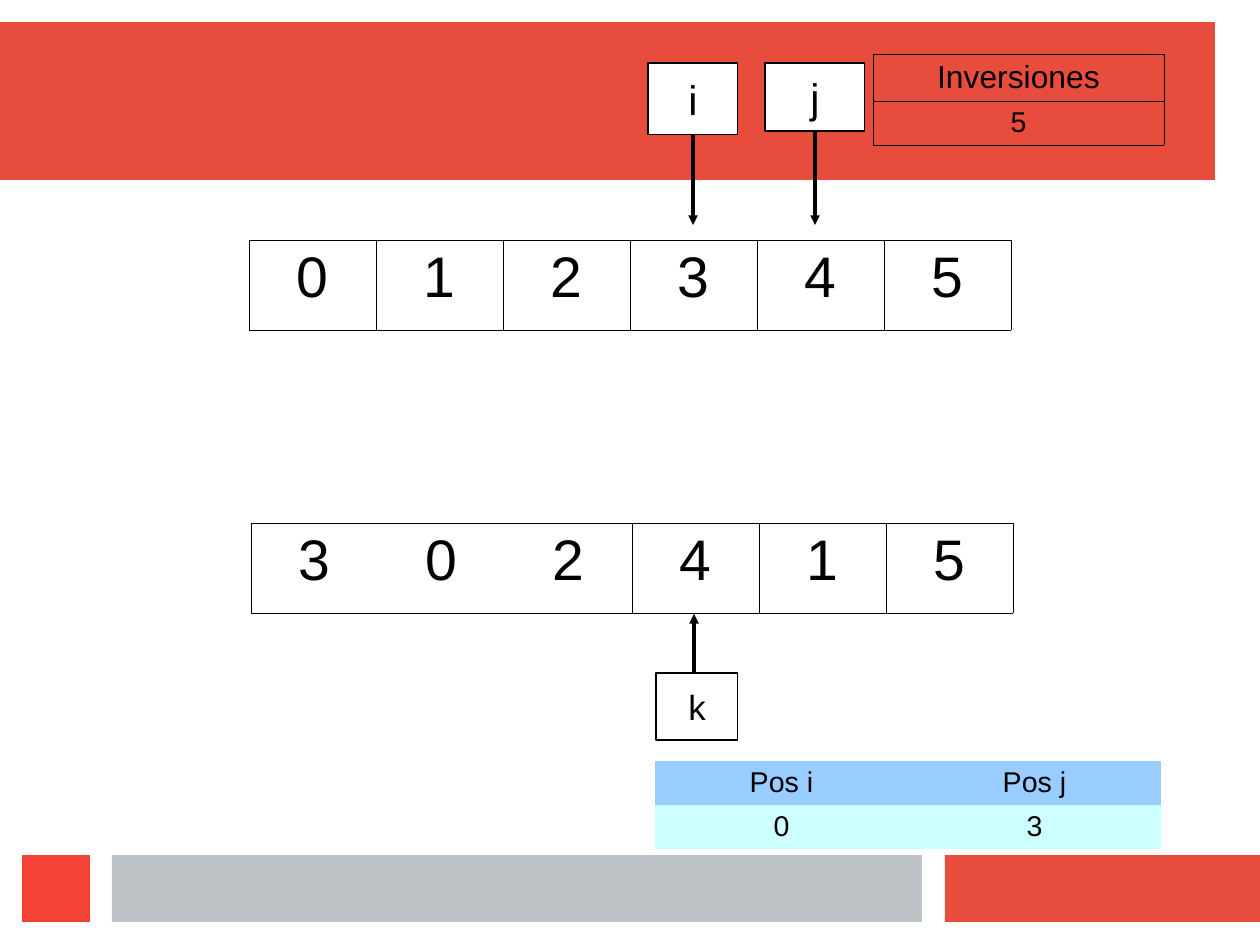
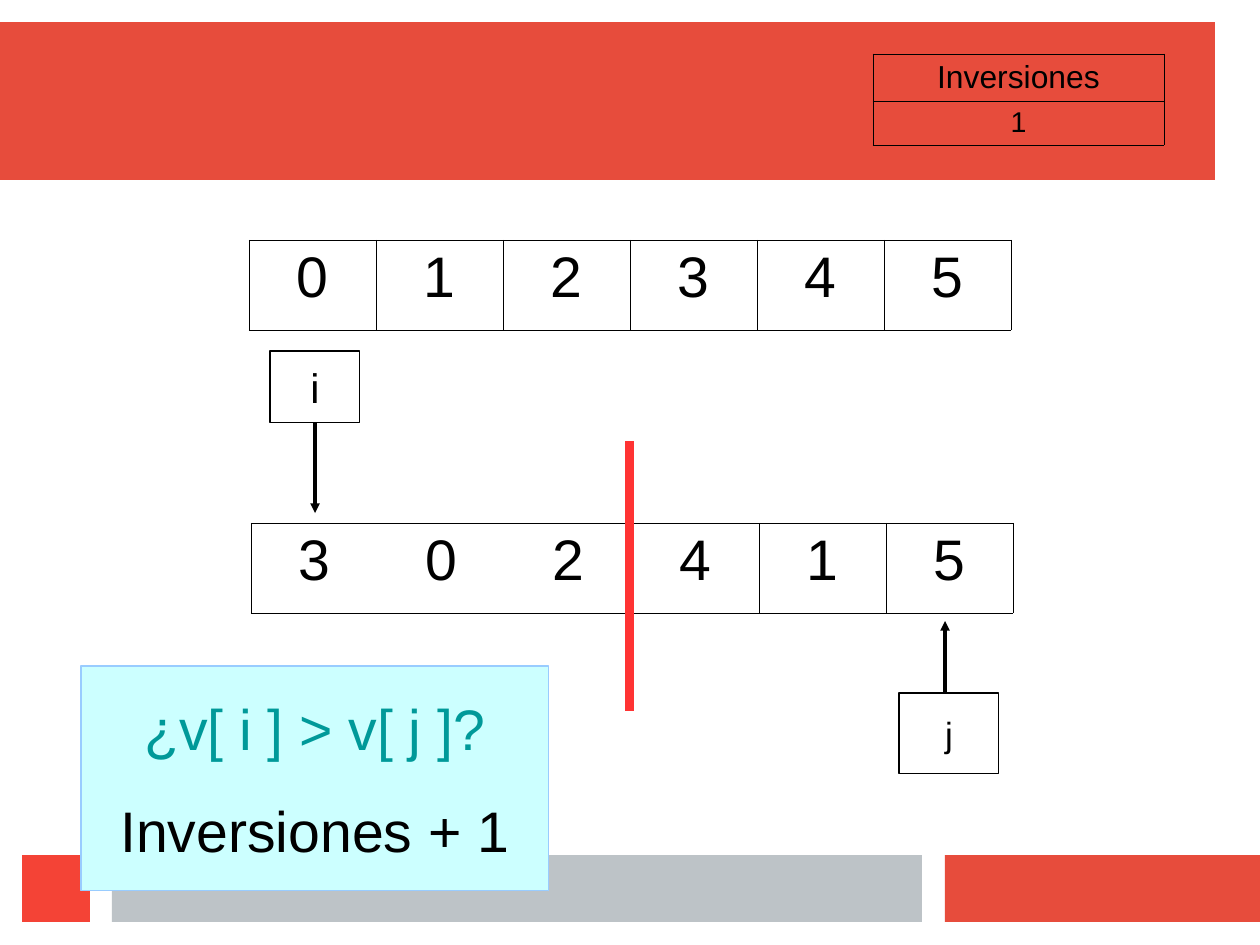
from dataclasses import dataclass

from lxml.etree import SubElement
from pptx import Presentation
from pptx.dml.color import RGBColor
from pptx.enum.shapes import MSO_CONNECTOR, MSO_SHAPE
from pptx.enum.text import MSO_ANCHOR, PP_ALIGN
from pptx.oxml import parse_xml
from pptx.oxml.ns import nsdecls, qn
from pptx.shapes.autoshape import Shape
from pptx.shapes.connector import Connector
from pptx.slide import Slide
from pptx.table import _Cell
from pptx.text.text import TextFrame
from pptx.util import Pt

# Shared look
EMU_PER_PX = 8000
SLIDE_WIDTH, SLIDE_HEIGHT = 1260, 945
FONT = "Arial"
BLACK, WHITE = "000000", "FFFFFF"
BAND_RED, SQUARE_RED, BAND_GREY = "E74C3C", "F44336", "BDC3C7"
PALE_BLUE, PALE_CYAN, TEAL, DIVIDER_RED = "99CCFF", "CCFFFF", "009999", "FF3333"
HAIRLINE, ARRAY_BORDER, COUNTER_BORDER = 0, 0.06, 0.57
BORDER_TAGS = {"left": "lnL", "right": "lnR", "top": "lnT", "bottom": "lnB"}
TOP, BOTTOM = 0, 2


@dataclass(frozen=True)
class Box:
    left: int
    top: int
    width: int
    height: int

    @property
    def middle(self) -> int:
        return self.left + self.width // 2


@dataclass(frozen=True)
class Band:
    box: Box
    color: str


@dataclass(frozen=True)
class Pointer:
    """A labelled box with an arrow from its top or bottom side."""
    label: str
    box: Box
    size: int
    arrow_x: int
    arrow_end: int


@dataclass(frozen=True)
class CellStyle:
    size: int
    fill: str = ""
    border: float = 0
    open_sides: tuple[str, ...] = ()


BANDS = (
    Band(Box(0, 22, 1215, 158), BAND_RED),
    Band(Box(945, 855, 315, 67), BAND_RED),
    Band(Box(112, 855, 810, 67), BAND_GREY),
    Band(Box(22, 855, 68, 67), SQUARE_RED),
)


def px(length: int) -> int:
    return length * EMU_PER_PX


def rgb(color: str) -> RGBColor:
    return RGBColor.from_string(color)


def add_text(frame: TextFrame, text: str, *, size: int, color: str = BLACK,
             space_before: int = 0, first: bool = True) -> None:
    paragraph = frame.paragraphs[0] if first else frame.add_paragraph()
    paragraph.alignment = PP_ALIGN.CENTER
    paragraph.space_before = Pt(space_before)
    run = paragraph.add_run()
    run.text = text
    run.font.name = FONT
    run.font.size = Pt(size)
    run.font.color.rgb = rgb(color)


def add_rectangle(slide: Slide, box: Box, fill: str, line: str = "") -> Shape:
    shape = slide.shapes.add_shape(MSO_SHAPE.RECTANGLE, px(box.left), px(box.top),
                                   px(box.width), px(box.height))
    shape.shadow.inherit = False
    shape.fill.solid()
    shape.fill.fore_color.rgb = rgb(fill)
    if line:
        shape.line.color.rgb = rgb(line)
        shape.line.width = Pt(HAIRLINE)
    else:
        shape.line.fill.background()
    shape.text_frame.word_wrap = False
    shape.text_frame.vertical_anchor = MSO_ANCHOR.MIDDLE
    return shape


def add_line(slide: Slide, start: tuple[int, int], end: tuple[int, int],
             color: str, width: float, arrow: bool = False) -> Connector:
    connector = slide.shapes.add_connector(MSO_CONNECTOR.STRAIGHT,
                                           *map(px, start), *map(px, end))
    connector.line.color.rgb = rgb(color)
    connector.line.width = Pt(width)
    if arrow:
        SubElement(connector.line._get_or_add_ln(), qn("a:tailEnd"), type="triangle")
    SubElement(connector._element.spPr, qn("a:effectLst"))
    return connector


def add_pointer(slide: Slide, pointer: Pointer) -> None:
    box = pointer.box
    shape = add_rectangle(slide, box, WHITE, BLACK)
    add_text(shape.text_frame, pointer.label, size=pointer.size)
    points_down = pointer.arrow_end > box.top
    start_y = box.top + box.height if points_down else box.top
    connector = add_line(slide, (pointer.arrow_x, start_y),
                         (pointer.arrow_x, pointer.arrow_end), BLACK, HAIRLINE, arrow=True)
    if pointer.arrow_x == box.middle:
        connector.begin_connect(shape, BOTTOM if points_down else TOP)


def style_cell(cell: _Cell, style: CellStyle) -> None:
    if style.fill:
        cell.fill.solid()
        cell.fill.fore_color.rgb = rgb(style.fill)
    else:
        cell.fill.background()
    properties = cell._tc.get_or_add_tcPr()
    for index, (side, tag) in enumerate(BORDER_TAGS.items()):
        if style.border and side not in style.open_sides:
            paint = f'<a:solidFill><a:srgbClr val="{BLACK}"/></a:solidFill>'
        else:
            paint = "<a:noFill/>"
        border = f'<a:{tag} {nsdecls("a")} w="{Pt(style.border)}">{paint}</a:{tag}>'
        properties.insert(index, parse_xml(border))


def add_grid(slide: Slide, left: int, top: int, column_width: int, row_heights: list[int],
             rows: list[list[str]], styles: list[list[CellStyle]]) -> None:
    columns = len(rows[0])
    table = slide.shapes.add_table(len(rows), columns, px(left), px(top),
                                   px(column_width * columns), px(sum(row_heights))).table
    table.first_row = table.horz_banding = False
    for column in table.columns:
        column.width = px(column_width)
    for row, height, texts, row_styles in zip(table.rows, row_heights, rows, styles):
        row.height = px(height)
        for cell, text, style in zip(row.cells, texts, row_styles):
            style_cell(cell, style)
            add_text(cell.text_frame, text, size=style.size)


def add_array(slide: Slide, left: int, top: int, digits: str, joined: int = 1) -> None:
    """One row of digits; the first `joined` cells have no lines between them."""
    styles = []
    for index in range(len(digits)):
        open_left = ("left",) if 0 < index < joined else ()
        open_right = ("right",) if index < joined - 1 else ()
        styles.append(CellStyle(36, border=ARRAY_BORDER, open_sides=open_left + open_right))
    add_grid(slide, left, top, 127, [90], [list(digits)], [styles])


def add_counter(slide: Slide, count: str) -> None:
    styles = [[CellStyle(size, border=COUNTER_BORDER)] for size in (20, 18)]
    add_grid(slide, 873, 54, 291, [47, 44], [["Inversiones"], [count]], styles)


def add_position_table(slide: Slide, position_i: str, position_j: str) -> None:
    styles = [[CellStyle(18, fill)] * 2 for fill in (PALE_BLUE, PALE_CYAN)]
    add_grid(slide, 655, 761, 253, [44, 44],
             [["Pos i", "Pos j"], [position_i, position_j]], styles)


def add_question(slide: Slide) -> None:
    frame = add_rectangle(slide, Box(81, 666, 468, 225), PALE_CYAN, PALE_BLUE).text_frame
    add_text(frame, "¿v[ i ] > v[ j ]?", size=36, color=TEAL)
    add_text(frame, "Inversiones + 1", size=36, space_before=21, first=False)


def add_base_slide(presentation: Presentation, count: str) -> Slide:
    """Bands, both arrays and the inversion counter."""
    slide = presentation.slides.add_slide(presentation.slide_layouts[6])
    for band in BANDS:
        add_rectangle(slide, band.box, band.color)
    add_array(slide, 249, 240, "012345")
    add_array(slide, 251, 523, "302415", joined=3)
    add_counter(slide, count)
    return slide


def main() -> None:
    presentation = Presentation()
    presentation.slide_width = px(SLIDE_WIDTH)
    presentation.slide_height = px(SLIDE_HEIGHT)

    # Slide 1: positions i, j and k
    slide = add_base_slide(presentation, "5")
    for pointer in (
        Pointer("i", Box(648, 63, 90, 72), 26, 693, 225),
        Pointer("j", Box(765, 63, 100, 68), 26, 815, 225),
        Pointer("k", Box(656, 673, 82, 67), 22, 694, 614),
    ):
        add_pointer(slide, pointer)
    add_position_table(slide, "0", "3")

    # Slide 2: comparing the two halves
    slide = add_base_slide(presentation, "1")
    add_line(slide, (630, 441), (630, 711), DIVIDER_RED, 5.67)
    for pointer in (
        Pointer("i", Box(270, 351, 90, 72), 26, 315, 513),
        Pointer("j", Box(899, 693, 100, 81), 22, 945, 621),
    ):
        add_pointer(slide, pointer)
    add_question(slide)

    presentation.save("out.pptx")


if __name__ == "__main__":
    main()
